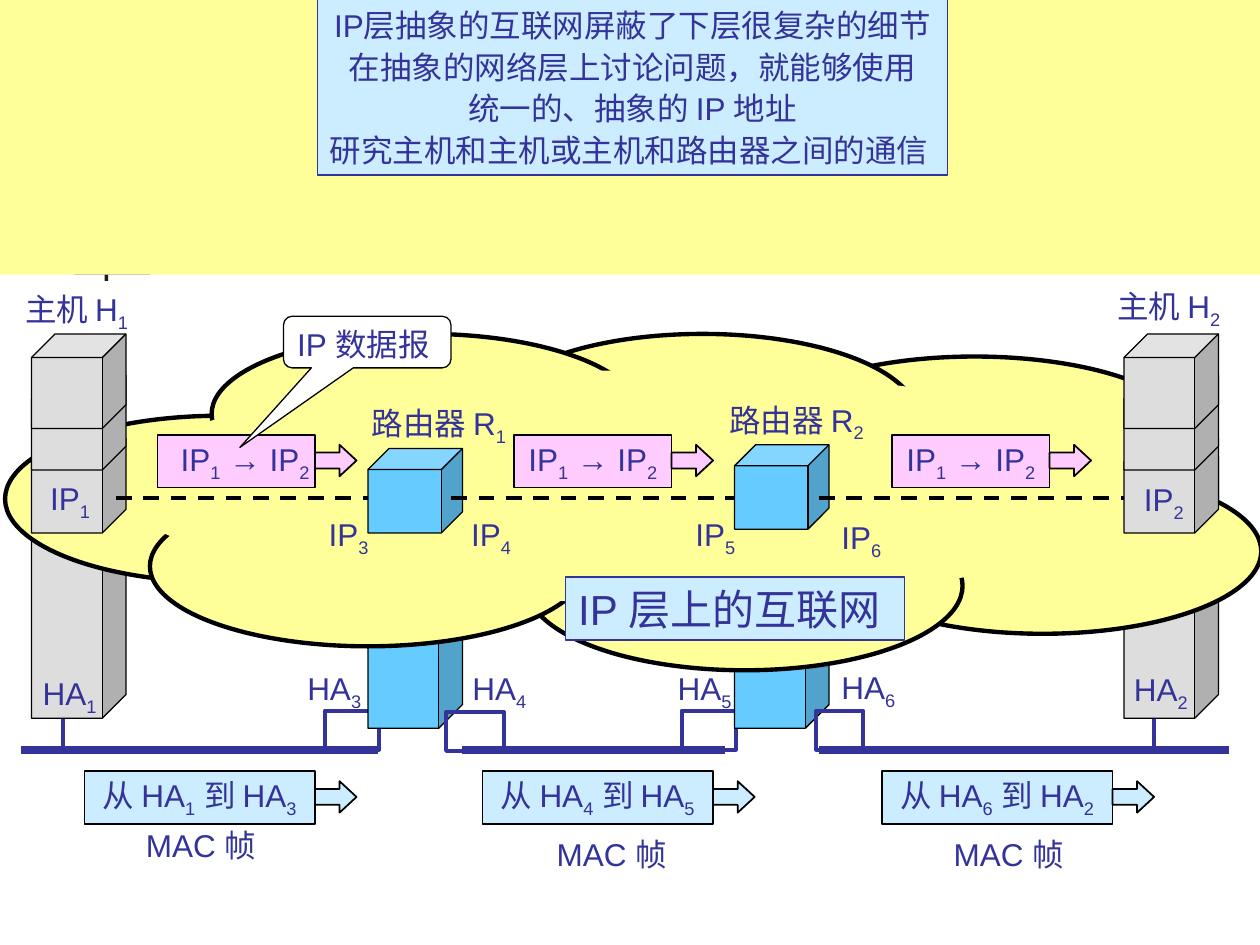
from dataclasses import dataclass
from typing import NamedTuple

from lxml.etree import SubElement
from pptx import Presentation
from pptx.dml.color import RGBColor
from pptx.enum.dml import MSO_LINE
from pptx.enum.shapes import MSO_CONNECTOR, MSO_SHAPE
from pptx.enum.text import MSO_ANCHOR, MSO_AUTO_SIZE, PP_ALIGN
from pptx.oxml.ns import qn
from pptx.util import Cm, Length, Pt


@dataclass(frozen=True)
class Theme:
    font: str = "Arial"
    body: float = 18
    heading: float = 24
    ink: str = "333399"
    black: str = "000000"
    white: str = "FFFFFF"
    host: str = "DDDDDD"
    router: str = "66CCFF"
    cloud: str = "FFFF99"
    panel: str = "CCECFF"
    datagram: str = "FFCCFF"
    accent: str = "3333CC"
    accent_bar: str = "1C1C1C"


class Box(NamedTuple):
    """Left, top, width and height in inches."""
    left: float
    top: float
    width: float
    height: float


class Label(NamedTuple):
    text: str
    left: float
    top: float


class Packet(NamedTuple):
    """A labelled box with an arrow leaving its right side."""
    text: str
    box: Box
    fill: str
    indent: float = 0


THEME = Theme()
CUBE_WIDTH = 0.75
HOST_LEFTS = (0.25, 8.92)
ROUTERS = (Box(2.92, 3.56, CUBE_WIDTH, 0.67), Box(5.83, 3.53, CUBE_WIDTH, 0.67))
COLUMNS = (
    (Box(HOST_LEFTS[0], 3.62, CUBE_WIDTH, 2.08), THEME.host),
    (Box(2.92, 3.7, CUBE_WIDTH, 2.08), THEME.router),
    (Box(HOST_LEFTS[1], 3.62, CUBE_WIDTH, 2.08), THEME.host),
    (Box(5.83, 3.95, CUBE_WIDTH, 1.83), THEME.router),
)
CLOUD_PUFFS = (
    Box(6.54, 3.72, 3.47, 1.31), Box(0.04, 3.3, 3.41, 1.32),
    Box(6, 2.83, 3.47, 1.27), Box(4.18, 3.98, 3.46, 1.34),
    Box(1.19, 3.86, 3.46, 1.27), Box(3.87, 2.65, 3.41, 1.32),
    Box(1.68, 2.65, 3.4, 1.27),
)
CLOUD_CORE = Box(0.95, 2.94, 8.27, 1.84)
WIRES_BEHIND = (Box(2.58, 5.64, 0.43, 0.31), Box(5.41, 5.64, 0.43, 0.31))
WIRES_IN_FRONT = (Box(6.48, 5.64, 0.37, 0.31), Box(3.54, 5.65, 0.46, 0.31))
NETWORK_Y, NETWORKS = 5.95, ((0.17, 3), (3.67, 5.75), (6.5, 9.75))
ROUTE_Y, ROUTES = 3.95, ((0.92, 2.92), (3.58, 5.83), (6.5, 8.92))
LABELS = (
    Label("主机 H_1", 0.1, 2.25), Label("主机 H_2", 8.77, 2.23),
    Label("路由器 R_1", 2.85, 3.16), Label("路由器 R_2", 5.69, 3.13),
    Label("IP_1", 0.3, 3.75), Label("IP_2", 8.98, 3.76),
    Label("IP_3", 2.51, 4.04), Label("IP_4", 3.64, 4.04),
    Label("IP_5", 5.42, 4.04), Label("IP_6", 6.58, 4.06),
    Label("HA_1", 0.24, 5.3), Label("HA_2", 8.9, 5.27),
    Label("HA_3", 2.34, 5.26), Label("HA_4", 3.65, 5.26),
    Label("HA_5", 5.28, 5.26), Label("HA_6", 6.58, 5.25),
    Label("MAC 帧", 1.06, 6.51), Label("MAC 帧", 4.32, 6.58),
    Label("MAC 帧", 7.47, 6.58),
)
DATAGRAMS = tuple(
    Packet("IP_1 → IP_2", Box(left, 3.45, 1.25, 0.42), THEME.datagram, indent)
    for left, indent in ((1.25, 0.14), (4.08, 0), (7.08, 0))
)
FRAMES = tuple(
    Packet(f"从 HA_{start} 到 HA_{end}", Box(left, 6.12, 1.83, 0.42), THEME.panel)
    for left, start, end in ((0.67, 1, 3), (3.83, 4, 5), (7, 6, 2))
)
SUMMARY = (
    "IP层抽象的互联网屏蔽了下层很复杂的细节\n"
    "在抽象的网络层上讨论问题，就能够使用\n"
    "统一的、抽象的 IP 地址\n"
    "研究主机和主机或主机和路由器之间的通信 "
)


def inches(value: float) -> Length:
    return Cm(value * 2.54)


def add_shape(slide, kind, box: Box, *, fill=None, line=None, width=0.75, adjust=()):
    shape = slide.shapes.add_shape(kind, *map(inches, box))
    shape.shadow.inherit = False
    for index, value in enumerate(adjust):
        shape.adjustments[index] = value
    if fill:
        shape.fill.solid()
        shape.fill.fore_color.rgb = RGBColor.from_string(fill)
    else:
        shape.fill.background()
    if line:
        shape.line.color.rgb = RGBColor.from_string(line)
        shape.line.width = Pt(width)
    else:
        shape.line.fill.background()
    return shape


def add_line(slide, start, end, *, color: str, width: float, dashed=False) -> None:
    line = slide.shapes.add_connector(MSO_CONNECTOR.STRAIGHT, *map(inches, (*start, *end)))
    line.line.color.rgb = RGBColor.from_string(color)
    line.line.width = Pt(width)
    if dashed:
        line.line.dash_style = MSO_LINE.DASH
    SubElement(line._element.spPr, qn("a:effectLst"))


def write_text(shape, text: str, *, size=THEME.body, align=PP_ALIGN.LEFT,
               anchor=MSO_ANCHOR.TOP, spacing=1.0, indent=0.0) -> None:
    """Write one paragraph per line; the character after "_" is a subscript."""
    frame = shape.text_frame
    frame.word_wrap = False
    frame.auto_size = MSO_AUTO_SIZE.NONE
    frame.vertical_anchor = anchor
    frame.margin_left = inches(0.1 + indent)
    for number, content in enumerate(text.split("\n")):
        paragraph = frame.paragraphs[0] if number == 0 else frame.add_paragraph()
        paragraph.alignment = align
        paragraph.line_spacing = spacing
        first, *others = content.split("_")
        pieces = [(first, False)]
        for part in others:
            pieces += [(part[0], True), (part[1:], False)]
        for piece, subscript in pieces:
            if not piece:
                continue
            run = paragraph.add_run()
            run.text = piece
            run.font.name = THEME.font
            run.font.size = Pt(size)
            run.font.color.rgb = RGBColor.from_string(THEME.ink)
            if subscript:
                run.font._element.set("baseline", "-25000")


def add_label(slide, label: Label) -> None:
    width = 0.3 + 0.17 * len(label.text)
    box = Box(label.left, label.top, width, 0.42)
    write_text(slide.shapes.add_textbox(*map(inches, box)), label.text)


def add_cube(slide, box: Box, fill: str) -> None:
    add_shape(slide, MSO_SHAPE.CUBE, box, fill=fill, line=THEME.black, adjust=(0.25,))


def add_packet(slide, packet: Packet) -> None:
    box = packet.box
    style = dict(fill=packet.fill, line=THEME.black, width=1)
    shape = add_shape(slide, MSO_SHAPE.RECTANGLE, box, **style)
    write_text(shape, packet.text, align=PP_ALIGN.CENTER,
               anchor=MSO_ANCHOR.MIDDLE, indent=packet.indent)
    arrow = Box(box.left + box.width, box.top + 0.08, 0.33, 0.25)
    add_shape(slide, MSO_SHAPE.RIGHT_ARROW, arrow, adjust=(0.5, 0.54), **style)


def add_wires(slide, boxes) -> None:
    for box in boxes:
        add_shape(slide, MSO_SHAPE.RECTANGLE, box, line=THEME.ink, width=2.25)


def add_network(slide) -> None:
    add_wires(slide, WIRES_BEHIND)
    for x in (0.5, 9.16):
        add_line(slide, (x, NETWORK_Y), (x, 5.37), color=THEME.ink, width=2.25)
    for box, fill in COLUMNS:
        add_cube(slide, box, fill)
    for puff in CLOUD_PUFFS:
        add_shape(slide, MSO_SHAPE.OVAL, puff, fill=THEME.cloud, line=THEME.black, width=2.5)
    add_shape(slide, MSO_SHAPE.OVAL, CLOUD_CORE, fill=THEME.cloud)
    for left in HOST_LEFTS:
        for top in (3.48, 2.98, 2.65):
            add_cube(slide, Box(left, top, CUBE_WIDTH, CUBE_WIDTH), THEME.host)
    for router in ROUTERS:
        add_cube(slide, router, THEME.router)
    for start, end in NETWORKS:
        add_line(slide, (start, NETWORK_Y), (end, NETWORK_Y), color=THEME.ink, width=4.5)
    for start, end in ROUTES:
        add_line(slide, (start, ROUTE_Y), (end, ROUTE_Y),
                 color=THEME.black, width=2.25, dashed=True)
    add_wires(slide, WIRES_IN_FRONT)


def add_summary(slide) -> None:
    for box, fill in ((Box(0.59, 2.16, 0.6, 0.02), THEME.accent),
                      (Box(0.83, 2.16, 0.03, 0.07), THEME.accent_bar),
                      (Box(0, 0, 10, 2.18), THEME.cloud)):
        add_shape(slide, MSO_SHAPE.RECTANGLE, box, fill=fill)
    panel = add_shape(slide, MSO_SHAPE.RECTANGLE, Box(2.52, -0.03, 5, 1.42),
                      fill=THEME.panel, line=THEME.ink)
    write_text(panel, SUMMARY, align=PP_ALIGN.CENTER, spacing=1.1)


def main() -> None:
    presentation = Presentation()
    presentation.slide_width, presentation.slide_height = inches(10), inches(7.5)
    slide = presentation.slides.add_slide(presentation.slide_layouts[6])
    add_network(slide)
    for label in LABELS:
        add_label(slide, label)
    caption = add_shape(slide, MSO_SHAPE.RECTANGLE, Box(4.49, 4.58, 2.69, 0.5),
                        fill=THEME.panel, line=THEME.ink)
    write_text(caption, "IP 层上的互联网", size=THEME.heading)
    for packet in DATAGRAMS + FRAMES:
        add_packet(slide, packet)
    add_shape(slide, MSO_SHAPE.ROUNDED_RECTANGULAR_CALLOUT, Box(2.25, 2.51, 1.33, 0.41),
              fill=THEME.white, line=THEME.black, adjust=(-0.76, 2.04, 0.17))
    add_label(slide, Label("IP 数据报", 2.26, 2.53))
    add_summary(slide)
    presentation.save("out.pptx")


if __name__ == "__main__":
    main()
